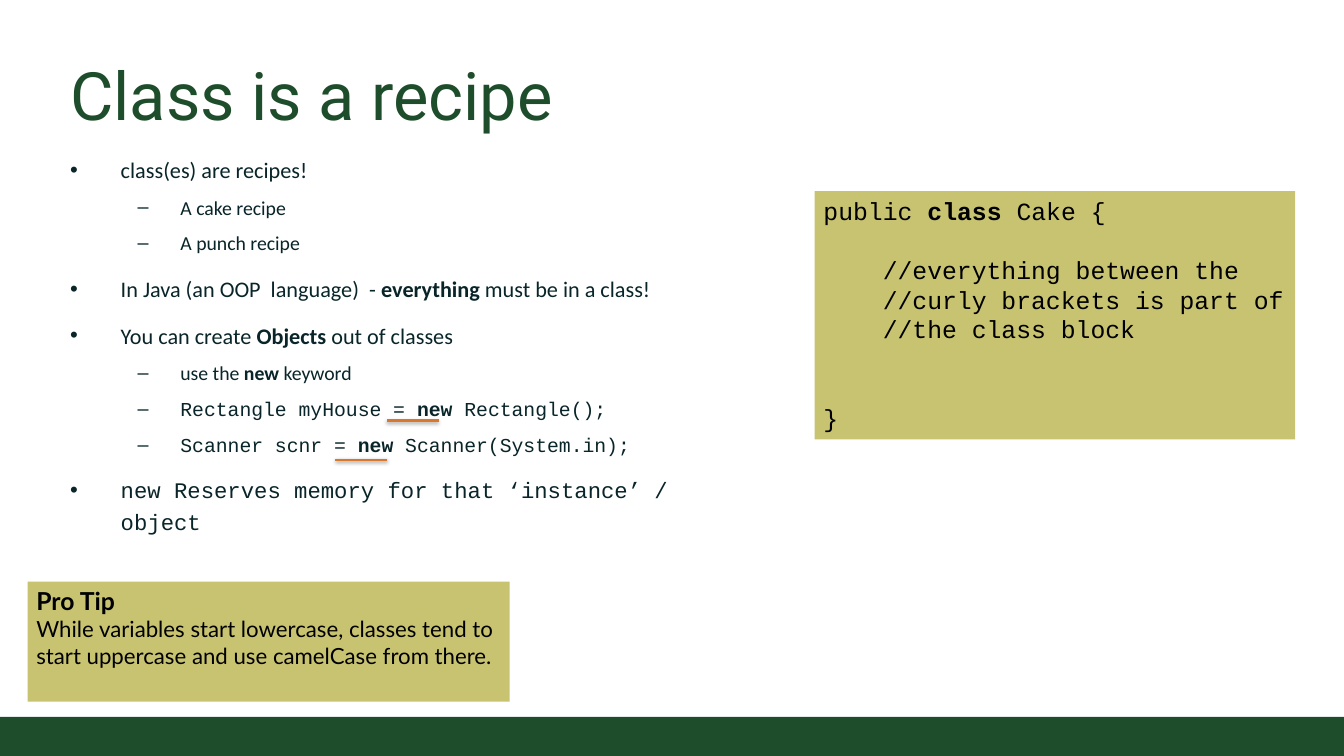
from dataclasses import dataclass
from typing import Any, Optional

from lxml import etree
from pptx import Presentation
from pptx.dml.color import RGBColor
from pptx.enum.shapes import MSO_CONNECTOR, MSO_SHAPE
from pptx.enum.text import MSO_ANCHOR, MSO_AUTO_SIZE, PP_ALIGN
from pptx.oxml.ns import qn
from pptx.util import Pt

RECTANGLE = MSO_SHAPE.RECTANGLE
STRAIGHT = MSO_CONNECTOR.STRAIGHT
LEFT = PP_ALIGN.LEFT
TOP, BOTTOM = MSO_ANCHOR.TOP, MSO_ANCHOR.BOTTOM
NO_AUTO_SIZE = MSO_AUTO_SIZE.NONE

GREEN, OLIVE, ORANGE = "1E4D2B", "C8C371", "D9782C"
INK, BLACK = "092529", "000000"
SANS, MONO, TIP_FONT, TITLE_FONT = "Calibri", "Courier New", "Lato", "Roboto"
SLIDE_WIDTH, SLIDE_HEIGHT = 1087.92, 612
CODE_LINE = 24


@dataclass(frozen=True)
class Box:
    left: float
    top: float
    width: float
    height: float


@dataclass(frozen=True)
class Level:
    size: float
    margin: float
    hanging: float
    before: float
    bullet: str


@dataclass(frozen=True)
class Bullet:
    text: str  # bold parts stand between asterisks
    level: Level
    font: str = SANS


@dataclass(frozen=True)
class CodeLine:
    text: str
    depth: int = 0
    gap_lines: int = 0


@dataclass(frozen=True)
class Underline:
    left: float
    top: float
    width: float = 41.76


MAIN = Level(size=18, margin=41, hanging=41, before=6, bullet="•")
SUB = Level(size=16, margin=89.3, hanging=34.6, before=0, bullet="–")

BULLETS = [
    Bullet("class(es) are recipes!", MAIN),
    Bullet("A cake recipe", SUB),
    Bullet("A punch recipe", SUB),
    Bullet("In Java (an OOP  language)  - *everything* must be in a class!", MAIN),
    Bullet("You can create *Objects* out of classes", MAIN),
    Bullet("use the *new* keyword", SUB),
    Bullet("Rectangle myHouse = *new* Rectangle();", SUB, MONO),
    Bullet("Scanner scnr = *new* Scanner(System.in);", SUB, MONO),
    Bullet("new Reserves memory for that ‘instance’ / object", MAIN, MONO),
]
CODE = [
    CodeLine("public* class* Cake {"),
    CodeLine("//everything between the", depth=1, gap_lines=1),
    CodeLine("//curly brackets is part of", depth=1),
    CodeLine("//the class block", depth=1),
    CodeLine("}", gap_lines=2),
]
UNDERLINES = [Underline(313.2, 340.56), Underline(271.44, 372.24)]


def color(hex_code: str) -> RGBColor:
    return RGBColor.from_string(hex_code)


def write(paragraph: Any, text: str, *, size: float, font: str, ink: str,
          before: float = 0, after: float = 0,
          spacing: Optional[Any] = None) -> None:
    """Fill a paragraph; text between asterisks becomes bold."""
    paragraph.alignment = LEFT
    paragraph.space_before, paragraph.space_after = Pt(before), Pt(after)
    if spacing is not None:
        paragraph.line_spacing = spacing
    for index, part in enumerate(text.split("*")):
        if part:
            run = paragraph.add_run()
            run.text = part
            run.font.size, run.font.name = Pt(size), font
            run.font.bold = index % 2 == 1
            run.font.color.rgb = color(ink)


def indent(paragraph: Any, margin: float, hanging: float = 0,
           bullet: str = "") -> None:
    properties = paragraph._p.get_or_add_pPr()
    properties.set("marL", str(int(Pt(margin))))
    properties.set("indent", str(-int(Pt(hanging))))
    if bullet:
        etree.SubElement(properties, qn("a:buFont"), typeface="Arial")
        etree.SubElement(properties, qn("a:buChar"), char=bullet)


def place(shape: Any, box: Box) -> None:
    shape.left, shape.top = Pt(box.left), Pt(box.top)
    shape.width, shape.height = Pt(box.width), Pt(box.height)


def prepare_frame(shape: Any, inset: float, anchor: Any = TOP) -> Any:
    frame = shape.text_frame
    frame.word_wrap, frame.auto_size = True, NO_AUTO_SIZE
    frame.vertical_anchor = anchor
    frame.margin_left = frame.margin_right = Pt(inset)
    frame.margin_top = frame.margin_bottom = Pt(inset)
    return frame


def next_paragraph(frame: Any, index: int) -> Any:
    return frame.add_paragraph() if index else frame.paragraphs[0]


def add_panel(slide: Any, box: Box, fill: str) -> Any:
    shape = slide.shapes.add_shape(
        RECTANGLE, Pt(box.left), Pt(box.top), Pt(box.width), Pt(box.height))
    shape.shadow.inherit = False
    shape.fill.solid()
    shape.fill.fore_color.rgb = color(fill)
    shape.line.fill.background()
    frame = prepare_frame(shape, 3.6)
    frame.margin_left = frame.margin_right = Pt(7.2)
    return shape


def add_underline(slide: Any, mark: Underline) -> None:
    line = slide.shapes.add_connector(
        STRAIGHT, Pt(mark.left), Pt(mark.top),
        Pt(mark.left + mark.width), Pt(mark.top))
    line.line.color.rgb, line.line.width = color(ORANGE), Pt(2)
    effects = etree.SubElement(line._element.spPr, qn("a:effectLst"))
    shadow = etree.SubElement(
        effects, qn("a:outerShdw"), blurRad=str(int(Pt(3.1))),
        dist=str(int(Pt(1.6))), dir="5400000", rotWithShape="0")
    tint = etree.SubElement(shadow, qn("a:srgbClr"), val=BLACK)
    etree.SubElement(tint, qn("a:alpha"), val="38000")


def main() -> None:
    presentation = Presentation()
    presentation.slide_width = Pt(SLIDE_WIDTH)
    presentation.slide_height = Pt(SLIDE_HEIGHT)
    title_only = presentation.slide_layouts[5]
    slide = presentation.slides.add_slide(title_only)

    # Footer band
    add_panel(slide, Box(0, 580.3, SLIDE_WIDTH, SLIDE_HEIGHT - 580.3), GREEN)

    # Title
    title = slide.shapes.title
    place(title, Box(49.7, 35.3, 989.3, 79.9))
    write(prepare_frame(title, 7.2, BOTTOM).paragraphs[0], "Class is a recipe",
          size=54, font=TITLE_FONT, ink=GREEN)

    # Bullet list
    body = slide.shapes.add_textbox(Pt(49.7), Pt(115.2), Pt(566.6), Pt(300.2))
    frame = prepare_frame(body, 7.2)
    for index, item in enumerate(BULLETS):
        level = item.level
        paragraph = next_paragraph(frame, index)
        spacing = Pt(level.size * 1.44) if item.font == MONO else 1.2
        write(paragraph, item.text, size=level.size, font=item.font, ink=INK,
              before=level.before, after=6, spacing=spacing)
        indent(paragraph, level.margin, level.hanging, level.bullet)

    # Code panel
    code_panel = add_panel(slide, Box(659.5, 154.8, 388.8, 200.9), OLIVE)
    for index, line in enumerate(CODE):
        paragraph = next_paragraph(code_panel.text_frame, index)
        write(paragraph, line.text, size=20, font=MONO, ink=BLACK,
              before=line.gap_lines * CODE_LINE, spacing=Pt(CODE_LINE))
        indent(paragraph, line.depth * 48)

    # Tip panel
    tip_panel = add_panel(slide, Box(22.3, 470.9, 390.2, 97.2), OLIVE)
    tip_frame = tip_panel.text_frame
    write(tip_frame.paragraphs[0], "*Pro Tip*",
          size=20, font=TIP_FONT, ink=BLACK)
    write(tip_frame.add_paragraph(),
          "While variables start lowercase, classes tend to start uppercase "
          "and use camelCase from there.",
          size=18, font=TIP_FONT, ink=BLACK)

    # Marks under the new keyword
    for mark in UNDERLINES:
        add_underline(slide, mark)

    presentation.save("out.pptx")


if __name__ == "__main__":
    main()
